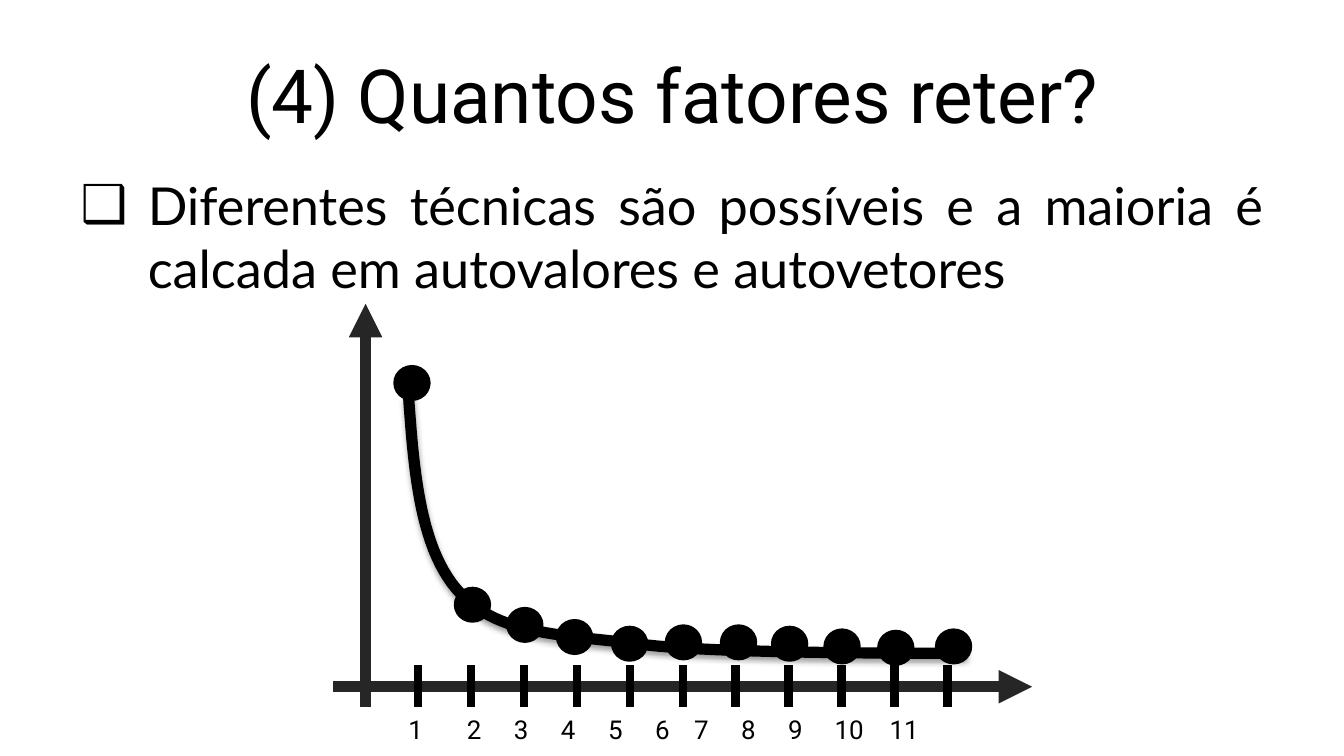
from lxml.etree import SubElement
from pptx import Presentation
from pptx.dml.color import RGBColor
from pptx.enum.shapes import MSO_CONNECTOR, MSO_SHAPE
from pptx.enum.text import MSO_ANCHOR, MSO_AUTO_SIZE, PP_ALIGN
from pptx.oxml.ns import qn
from pptx.util import Pt

PX = 9144  # 100 px to the inch
WIDE = 1000
INK, GREY = "000000", "262626"
STEP = 39.4
DOTS = [(294, 273), (339, 438), (378, 453), (415, 462), (456, 467), (496, 466),
        (537, 466), (575, 467), (614, 469), (654, 470), (697, 469)]
TABS = [5, 49, 84, 119, 154, 189, 218, 253, 288, 328, 369]
CURVE = [[(304, 295), (308, 353), (313, 411), (343, 442)],
         [(343, 442), (372, 473), (419, 472), (482, 480)],
         [(482, 480), (545, 487), (719, 486), (719, 486)]]


def px(*vals):
    return [round(v * PX) for v in vals]


def color(code):
    return RGBColor.from_string(code)


def add(node, tag, **attrs):
    return SubElement(node, qn(tag), {k: str(v) for k, v in attrs.items()})


def style(obj, form):
    for key, val in form.items():
        setattr(obj, key, val)


def write(para, text, face, size):
    run = para.add_run()
    run.text = text
    style(run.font, {"name": face, "size": Pt(size)})
    run.font.color.rgb = color(INK)


def stroke(line, code, width):
    line.color.rgb = color(code)
    line.width = Pt(width)


def place(holder, box, anchor):
    spots = zip(("left", "top", "width", "height"), px(*box))
    style(holder, dict(spots))
    frame = holder.text_frame
    style(frame, {"word_wrap": True, "auto_size": MSO_AUTO_SIZE.NONE,
                  "vertical_anchor": anchor})
    return frame.paragraphs[0]


def title(slide, box):
    para = place(slide.shapes.title, box, MSO_ANCHOR.MIDDLE)
    para.alignment = PP_ALIGN.CENTER
    write(para, "(4) Quantos fatores reter?", "Roboto", 40)


def body(slide, box):
    para = place(slide.placeholders[1], box, MSO_ANCHOR.TOP)
    props = para._p.get_or_add_pPr()
    props.set("marL", str(50 * PX))
    props.set("indent", str(-50 * PX))
    add(props, "a:buChar", char="❑")
    style(para, {"alignment": PP_ALIGN.JUSTIFY, "space_before": Pt(0)})
    write(para, "Diferentes técnicas são possíveis e a maioria é "
          "calcada em autovalores e autovetores", "Lato", 28)


def rule(slide, ends, code, width, arrow=False):
    link = slide.shapes.add_connector(MSO_CONNECTOR.STRAIGHT, *px(*ends))
    stroke(link.line, code, width)
    if arrow:
        add(link.line._get_or_add_ln(), "a:tailEnd", type="triangle")
    add(link._element.spPr, "a:effectLst")


def labels(slide, box):
    area = slide.shapes.add_textbox(*px(*box))
    area.text_frame.word_wrap = True
    para = area.text_frame.paragraphs[0]
    stops = add(para._p.get_or_add_pPr(), "a:tabLst")
    for tab in TABS:
        add(stops, "a:tab", pos=tab * PX, algn="ctr")
    write(para, "".join(f"\t{n}" for n in range(1, len(TABS) + 1)), "Roboto", 13.9)


def bend(knots, t):
    """Point at t on a cubic Bézier curve."""
    u = 1 - t
    parts = (u ** 3, 3 * u * u * t, 3 * u * t * t, t ** 3)
    return tuple(sum(w * k[i] for w, k in zip(parts, knots)) for i in (0, 1))


def curve(slide, x, y):
    dots = [px(x + a, y + b) for knots in CURVE
            for a, b in (bend(knots, i / 24) for i in range(1, 25))]
    a, b = CURVE[0][0]
    pen = slide.shapes.build_freeform(*px(x + a, y + b))
    pen.add_line_segments(dots, close=False)
    shape = pen.convert_to_shape()
    shape.fill.background()
    stroke(shape.line, INK, 6)
    shape.shadow.inherit = False
    glow = add(shape._element.spPr.find(qn("a:effectLst")), "a:outerShdw",
               blurRad=Pt(3.1), dist=Pt(1.6), dir=5400000, rotWithShape=0)
    add(add(glow, "a:srgbClr", val=INK), "a:alpha", val=38000)


def plot(slide, box):
    """Scree plot; dots and curve are listed from the box at (248, 226)."""
    x, y, w, h = box
    dx, dy = x - 248, y - 226
    base = y + h
    rule(slide, (x, base - 15, x + w, base - 15), GREY, 6, True)
    rule(slide, (x + 24, base, x + 24, y), GREY, 6, True)
    for i in range(len(DOTS)):
        tick = x + 63 + i * STEP
        rule(slide, (tick, base - 31, tick, base), INK, 4.5)
    labels(slide, (x + 46, base, 426, 29))
    for a, b in DOTS:
        dot = slide.shapes.add_shape(MSO_SHAPE.OVAL, *px(a + dx, b + dy, 25, 24))
        dot.shadow.inherit = False
        dot.fill.solid()
        dot.fill.fore_color.rgb = color(INK)
        stroke(dot.line, INK, 2)
    curve(slide, dx, dy)


def main():
    deck = Presentation()
    deck.slide_width, deck.slide_height = px(WIDE, WIDE * 9 / 16)
    slide = deck.slides.add_slide(deck.slide_layouts[1])
    title(slide, (50, 23, 900, 94))
    body(slide, (50, 124, 900, 410))
    plot(slide, (248, 226, 520, 300))
    deck.save("out.pptx")


if __name__ == "__main__":
    main()
